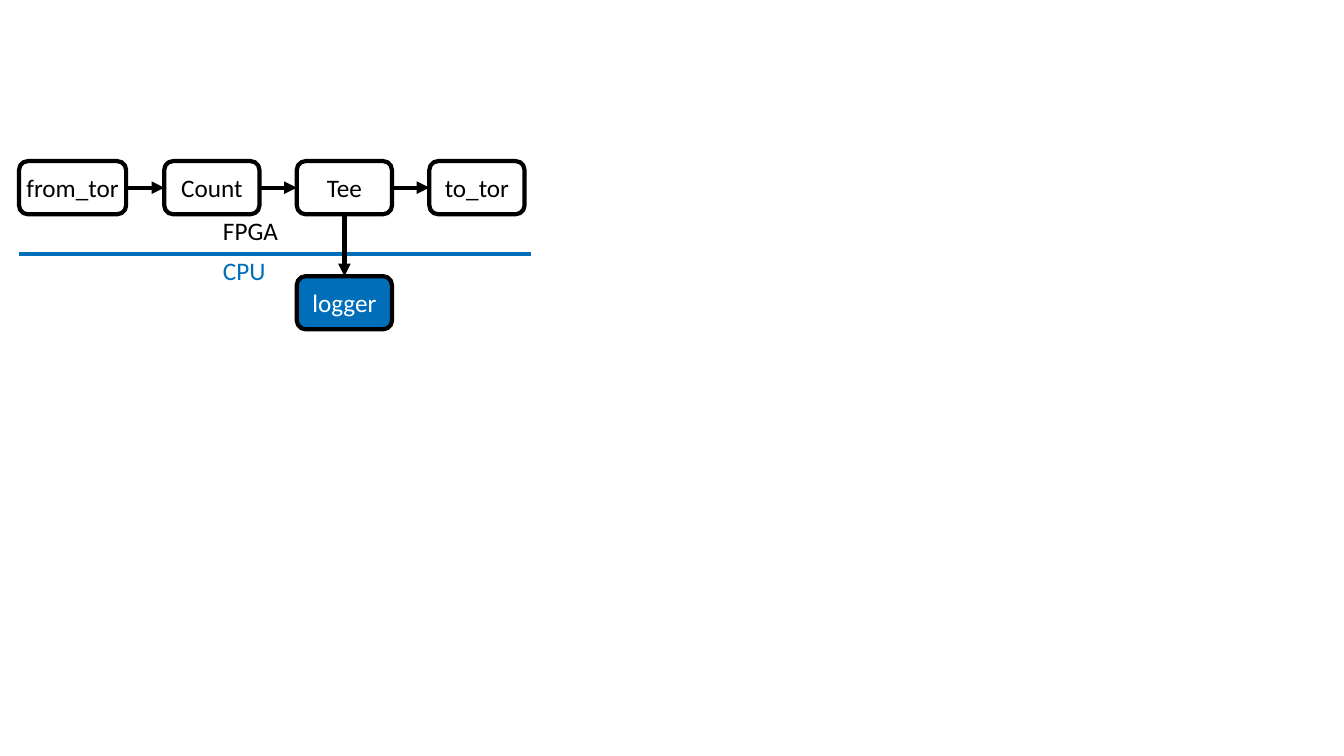
from dataclasses import dataclass

from pptx import Presentation
from pptx.dml.color import RGBColor
from pptx.enum.shapes import MSO_CONNECTOR, MSO_SHAPE
from pptx.enum.text import MSO_ANCHOR, MSO_AUTO_SIZE, PP_ALIGN
from pptx.oxml.ns import qn
from pptx.util import Cm, Pt
from lxml.etree import SubElement


@dataclass(frozen=True)
class Theme:
    font: str = "Calibri"
    size: Pt = Pt(18)
    line_width: Pt = Pt(3)
    black: RGBColor = RGBColor(0x00, 0x00, 0x00)
    white: RGBColor = RGBColor(0xFF, 0xFF, 0xFF)
    blue: RGBColor = RGBColor(0x00, 0x6E, 0xB9)


THEME = Theme()

# Connection sites of a rounded rectangle
TOP, LEFT, BOTTOM, RIGHT = range(4)

BOX_HEIGHT = 1.34
BOX_WIDTH = 2.4
BOX_STEP = 3.34
ROW_TOP = 4.06


def write_text(frame, text, *, color, align=None, line_spacing=None,
               space_after=None, margins=(0, 0)):
    horizontal, vertical = margins
    frame.margin_left = frame.margin_right = Cm(horizontal)
    frame.margin_top = frame.margin_bottom = Cm(vertical)
    paragraph = frame.paragraphs[0]
    paragraph.alignment = align
    paragraph.line_spacing = line_spacing
    paragraph.space_after = space_after
    run = paragraph.add_run()
    run.text = text
    run.font.name = THEME.font
    run.font.size = THEME.size
    run.font.color.rgb = color


def add_box(slide, text, left, top, width=BOX_WIDTH, fill=THEME.white,
            color=THEME.black):
    shape = slide.shapes.add_shape(MSO_SHAPE.ROUNDED_RECTANGLE, Cm(left), Cm(top),
                                   Cm(width), Cm(BOX_HEIGHT))
    shape.shadow.inherit = False
    shape.fill.solid()
    shape.fill.fore_color.rgb = fill
    shape.line.color.rgb = THEME.black
    shape.line.width = THEME.line_width
    shape.text_frame.vertical_anchor = MSO_ANCHOR.MIDDLE
    write_text(shape.text_frame, text, color=color, align=PP_ALIGN.CENTER,
               margins=(0, 0.1))
    return shape


def add_label(slide, text, left, top, width, color):
    frame = slide.shapes.add_textbox(Cm(left), Cm(top), Cm(width), Cm(1.52)).text_frame
    frame.word_wrap = False
    frame.auto_size = MSO_AUTO_SIZE.SHAPE_TO_FIT_TEXT
    write_text(frame, text, color=color, line_spacing=0.9, space_after=Pt(6),
               margins=(0.51, 0.41))


def add_line(slide, color, start, end):
    connector = slide.shapes.add_connector(MSO_CONNECTOR.STRAIGHT, *start, *end)
    connector.line.color.rgb = color
    connector.line.width = THEME.line_width
    SubElement(connector._element.spPr, qn("a:effectLst"))
    return connector


def site_point(shape, site):
    across, down = {TOP: (1, 0), LEFT: (0, 1), BOTTOM: (1, 2), RIGHT: (2, 1)}[site]
    return (shape.left + shape.width * across // 2,
            shape.top + shape.height * down // 2)


def add_arrow(slide, source, source_site, target, target_site):
    connector = add_line(slide, THEME.black, site_point(source, source_site),
                         site_point(target, target_site))
    connector.begin_connect(source, source_site)
    connector.end_connect(target, target_site)
    SubElement(connector.line._get_or_add_ln(), qn("a:tailEnd"), type="triangle")


def main():
    presentation = Presentation()
    presentation.slide_width = Cm(33.87)
    presentation.slide_height = Cm(19.05)
    slide = presentation.slides.add_slide(presentation.slide_layouts[6])

    # Pipeline on the FPGA
    pipeline = [add_box(slide, "from_tor", 0.48, ROW_TOP, width=2.7)]
    for index, text in enumerate(("Count", "Tee", "to_tor")):
        pipeline.append(add_box(slide, text, 4.14 + index * BOX_STEP, ROW_TOP))

    # Logger on the CPU, under Tee
    logger = add_box(slide, "logger", 4.14 + BOX_STEP, 6.96, fill=THEME.blue,
                     color=THEME.white)

    # Border between FPGA and CPU
    add_line(slide, THEME.blue, (Cm(0.48), Cm(6.4)), (Cm(13.39), Cm(6.4)))
    add_label(slide, "FPGA", 5.11, 5.16, 2.54, THEME.black)
    add_label(slide, "CPU", 5.11, 6.17, 2.24, THEME.blue)

    # Data flow
    for source, target in zip(pipeline, pipeline[1:]):
        add_arrow(slide, source, RIGHT, target, LEFT)
    add_arrow(slide, pipeline[2], BOTTOM, logger, TOP)

    presentation.save("out.pptx")


if __name__ == "__main__":
    main()
